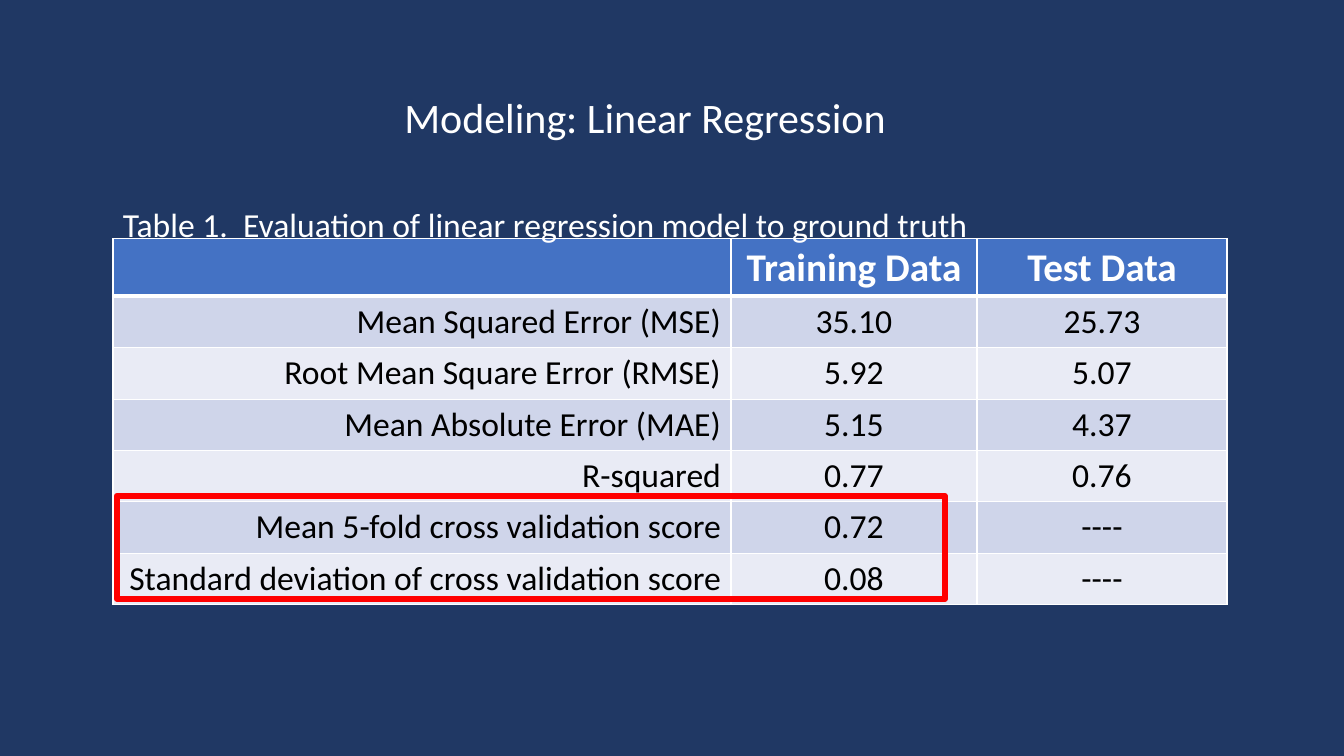
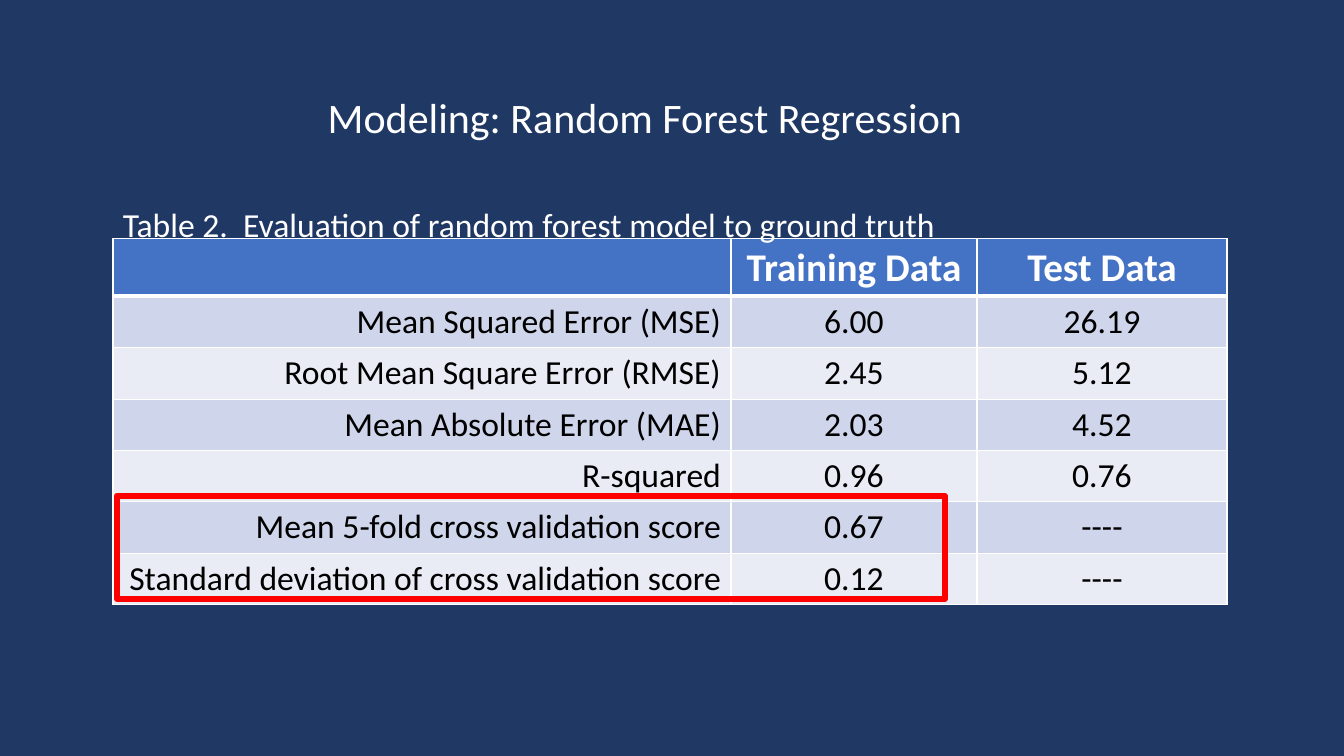
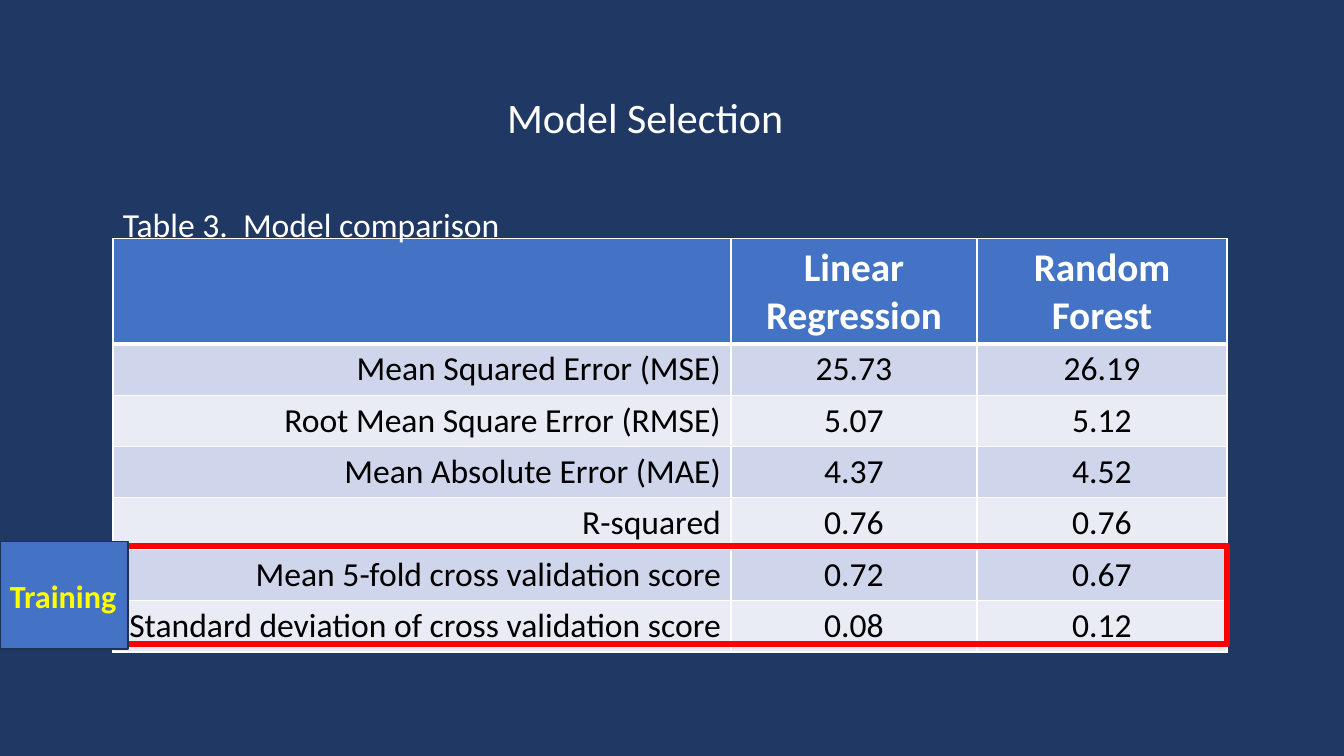
from lxml.etree import SubElement
from pptx import Presentation
from pptx.dml.color import RGBColor
from pptx.enum.shapes import MSO_SHAPE
from pptx.enum.text import MSO_ANCHOR, PP_ALIGN
from pptx.oxml.ns import qn
from pptx.util import Inches, Pt

# Shared look
NAVY = RGBColor(0x20, 0x38, 0x64)
BLUE = RGBColor(0x44, 0x72, 0xC4)
EDGE = RGBColor(0x1E, 0x32, 0x56)
BANDS = (RGBColor(0xCF, 0xD5, 0xEA), RGBColor(0xE9, 0xEB, 0xF5))
WHITE = RGBColor(0xFF, 0xFF, 0xFF)
BLACK = RGBColor(0x00, 0x00, 0x00)
RED = RGBColor(0xFF, 0x00, 0x00)
YELLOW = RGBColor(0xFF, 0xFF, 0x00)
FONT = "Calibri"

# Shared grid, in inches
LEFT, TOP, WIDTH = 1.12, 2.37, 11.05
COLUMNS = (6.13, 2.44, 2.48)
ROW = 0.51
TITLE_BOX = (0.92, 0.46, 10.96, 1.45)
CAPTION_BOX = (LEFT, TOP - 0.4, WIDTH, 0.5)

METRICS = (
    "Mean Squared Error (MSE)",
    "Root Mean Square Error (RMSE)",
    "Mean Absolute Error (MAE)",
    "R-squared",
    "Mean 5-fold cross validation score",
    "Standard deviation of cross validation score",
)
NONE = "----"
LINEAR_TRAIN = ("35.10", "5.92", "5.15", "0.77", "0.72", "0.08")
LINEAR_TEST = ("25.73", "5.07", "4.37", "0.76")
FOREST_TRAIN = ("6.00", "2.45", "2.03", "0.96", "0.67", "0.12")
FOREST_TEST = ("26.19", "5.12", "4.52", "0.76")


def inches(box):
    return [Inches(length) for length in box]


def write(frame, text, size=24, color=WHITE, bold=False,
          align=PP_ALIGN.LEFT, anchor=MSO_ANCHOR.TOP, spacing=None):
    frame.word_wrap = True
    frame.vertical_anchor = anchor
    paragraph = frame.paragraphs[0]
    paragraph.alignment = align
    paragraph.line_spacing = spacing
    run = paragraph.add_run()
    run.text = text
    run.font.name, run.font.size = FONT, Pt(size)
    run.font.bold, run.font.color.rgb = bold, color


def add_label(slide, box, text, **style):
    write(slide.shapes.add_textbox(*inches(box)).text_frame, text, **style)


def add_rectangle(slide, box, line, weight, fill=None):
    rectangle = slide.shapes.add_shape(MSO_SHAPE.RECTANGLE, *inches(box))
    rectangle.shadow.inherit = False
    rectangle.line.color.rgb, rectangle.line.width = line, Pt(weight)
    if fill is None:
        rectangle.fill.background()
    else:
        rectangle.fill.solid()
        rectangle.fill.fore_color.rgb = fill
    return rectangle


def style_cell(cell, fill, top=1, bottom=1):
    """Fill a cell and give it white borders."""
    properties = cell._tc.get_or_add_tcPr()
    for side, weight in (("L", 1), ("R", 1), ("T", top), ("B", bottom)):
        border = SubElement(properties, qn(f"a:ln{side}"), w=str(Pt(weight)))
        solid = SubElement(border, qn("a:solidFill"))
        SubElement(solid, qn("a:srgbClr"), val=str(WHITE))
    cell.fill.solid()
    cell.fill.fore_color.rgb = fill


def add_scores(slide, left, top, header_height, headings, *scores):
    """Table with a heading row and one row for each metric."""
    rows = list(zip(METRICS, *scores))
    height = header_height + ROW * len(rows)
    table = slide.shapes.add_table(
        len(rows) + 1, len(COLUMNS), *inches((left, top, WIDTH, height))).table
    for column, width in zip(table.columns, COLUMNS):
        column.width = Inches(width)
    for row in table.rows:
        row.height = Inches(ROW)
    table.rows[0].height = Inches(header_height)

    # Heading row
    for cell, heading in zip(table.rows[0].cells, ("", *headings)):
        style_cell(cell, BLUE, bottom=3)
        if heading:
            write(cell.text_frame, heading, size=28, bold=True,
                  align=PP_ALIGN.CENTER)

    # Metric rows
    for r, values in enumerate(rows):
        for c, value in enumerate(values):
            cell = table.cell(r + 1, c)
            style_cell(cell, BANDS[r % 2], top=1 if r else 3)
            write(cell.text_frame, value, color=BLACK,
                  align=PP_ALIGN.CENTER if c else PP_ALIGN.RIGHT)


def add_score_slide(deck, title, caption, headings, scores, header_height, frame):
    slide = deck.slides.add_slide(deck.slide_layouts[6])
    add_label(slide, TITLE_BOX, title, size=30, align=PP_ALIGN.CENTER,
              anchor=MSO_ANCHOR.MIDDLE, spacing=0.9)
    add_scores(slide, LEFT, TOP, header_height, headings, *scores)
    add_label(slide, CAPTION_BOX, caption)
    # Frame around the cross validation rows
    add_rectangle(slide, frame, RED, 4.5)
    return slide


def add_training_tag(slide, box):
    tag = add_rectangle(slide, box, EDGE, 1, fill=BLUE)
    write(tag.text_frame, "Training", size=23, color=YELLOW, bold=True,
          anchor=MSO_ANCHOR.MIDDLE)


def main():
    deck = Presentation()
    deck.slide_width, deck.slide_height = Inches(13.33), Inches(7.5)
    backdrop = deck.slide_master.background.fill
    backdrop.solid()
    backdrop.fore_color.rgb = NAVY

    # One slide for each model
    models = (
        ("Modeling: Linear Regression",
         "Table 1.  Evaluation of linear regression model to ground truth",
         LINEAR_TRAIN, LINEAR_TEST),
        ("Modeling: Random Forest Regression",
         "Table 2.  Evaluation of random forest model to ground truth",
         FOREST_TRAIN, FOREST_TEST),
    )
    for title, caption, train, test in models:
        add_score_slide(deck, title, caption, ("Training Data", "Test Data"),
                        (train, test + (NONE, NONE)), 0.57,
                        (LEFT + 0.04, 4.92, 8.21, 1.02))

    # Comparison: test scores, then cross validation scores from training
    comparison = add_score_slide(
        deck, "Model Selection", "Table 3.  Model comparison",
        ("Linear Regression", "Random Forest"),
        (LINEAR_TEST + LINEAR_TRAIN[4:], FOREST_TEST + FOREST_TRAIN[4:]),
        1.04, (LEFT, 5.42, WIDTH, 0.97))
    add_training_tag(comparison, (0, 5.37, 1.27, 1.07))

    deck.save("out.pptx")


if __name__ == "__main__":
    main()
